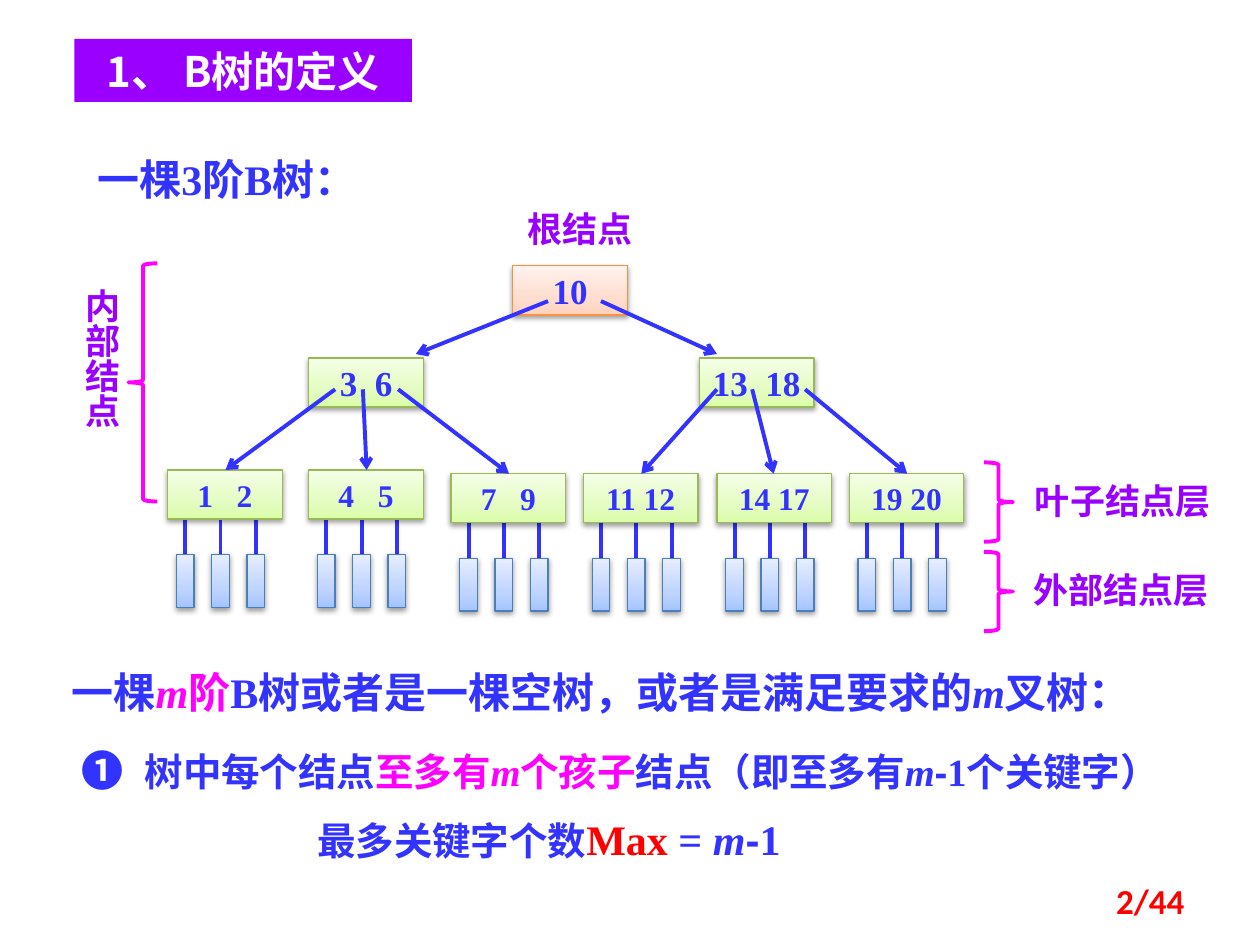
from copy import deepcopy
from dataclasses import dataclass

from pptx import Presentation
from pptx.dml.color import RGBColor
from pptx.enum.shapes import MSO_CONNECTOR, MSO_SHAPE
from pptx.enum.text import MSO_ANCHOR, MSO_AUTO_SIZE, PP_ALIGN
from pptx.oxml.ns import qn
from pptx.util import Inches, Pt
from lxml.etree import SubElement


@dataclass(frozen=True)
class Theme:
    """Colours, fonts and sizes of the slide."""
    ink: str = "3333FF"
    accent: str = "FF00FF"
    purple: str = "9900FF"
    red: str = "FF0000"
    white: str = "FFFFFF"
    serif: str = "Times New Roman"
    sans: str = "Noto Sans CJK SC"
    symbol: str = "Arial"
    number: str = "Calibri"
    heading: int = 24
    body: int = 22
    label: int = 20
    leaf: int = 18
    stroke: float = 2.25
    outline: float = 0.75
    orange_node: tuple = ("F69240", "FFD2BD", "FFDED0", "FFF2ED")
    green_node: tuple = ("98B955", "DAFDA7", "E4FCC2", "F5FFE7")
    blue_node: tuple = ("4B7EBC", "A4C4FF", "BFD4FF", "E6EEFF")
    stops: tuple = (0, 0.35, 1)


THEME = Theme()
INK = {"size": THEME.heading, "name": THEME.serif, "color": THEME.ink}
LABEL = {"size": THEME.label, "name": THEME.sans, "color": THEME.purple}
PINK = {"color": THEME.accent}
ITALIC = {"italic": True}
DASH = {"name": THEME.symbol}
SMALL = {"size": THEME.body}
CENTER = {"alignment": PP_ALIGN.CENTER}
GROW = {"word_wrap": True, "auto_size": MSO_AUTO_SIZE.SHAPE_TO_FIT_TEXT}
MIDDLE = {"word_wrap": True, "vertical_anchor": MSO_ANCHOR.MIDDLE}
TIGHT = {**MIDDLE, "margin_left": 0, "margin_right": 0}

NODE_WIDTH, NODE_HEIGHT = 0.91, 0.39
LEAVES = [
    (1.33, 3.73, "1", "2", 9),
    (2.45, 3.73, "4", "5", 9),
    (3.58, 3.76, "7", "9", 9),
    (4.63, 3.76, "11", "12", 0),
    (5.69, 3.76, "14", "17", 0),
    (6.74, 3.76, "19", "20", 0),
]
BRANCHES = [
    (4.35, 2.39, 3.3, 2.81), (4.77, 2.39, 5.69, 2.81),
    (2.66, 3.09, 1.79, 3.73), (2.88, 3.09, 2.91, 3.73), (3.16, 3.09, 4.04, 3.76),
    (5.69, 3.09, 5.09, 3.76), (5.97, 3.09, 6.14, 3.76), (6.39, 3.09, 7.2, 3.76),
]


def set_all(target, values):
    """Set each named attribute on the target."""
    for name, value in values.items():
        setattr(target, name, value)


def add_span(para, text, style, gap=0):
    """Append one bold run, with optional letter spacing in points."""
    span = para.add_run()
    span.text = text
    set_all(span.font, {
        "name": style["name"],
        "size": Pt(style["size"]),
        "bold": True,
        "italic": style.get("italic", False),
    })
    span.font.color.rgb = RGBColor.from_string(style["color"])
    properties = span._r.get_or_add_rPr()
    SubElement(properties, qn("a:ea")).set("typeface", THEME.sans)
    if gap:
        properties.set("spc", str(gap * 100))


def fill_text(shape, spans, base, frame, paragraph):
    """Write styled spans into the first paragraph of a shape."""
    set_all(shape.text_frame, frame)
    para = shape.text_frame.paragraphs[0]
    set_all(para, paragraph)
    for text, change, *gap in spans:
        add_span(para, text, {**base, **change}, *gap)
    return para


def add_text(slide, bounds, spans, base=INK, frame=GROW, paragraph=None):
    """Add a text box and return its shape and paragraph."""
    box = slide.shapes.add_textbox(*map(Inches, bounds))
    return box, fill_text(box, spans, base, frame, paragraph or {})


def add_plate(slide, bounds, text, base, fill):
    """Add a plain filled rectangle with a centred caption."""
    plate = slide.shapes.add_shape(MSO_SHAPE.RECTANGLE, *map(Inches, bounds))
    plate.shadow.inherit = False
    plate.fill.solid()
    plate.fill.fore_color.rgb = RGBColor.from_string(fill)
    plate.line.fill.background()
    fill_text(plate, [(text, {})], base, GROW, CENTER)


def add_node(slide, bounds, palette):
    """Add a shaded rectangle with a soft shadow."""
    node = slide.shapes.add_shape(MSO_SHAPE.RECTANGLE, *map(Inches, bounds))
    outline, *tints = palette
    node.line.color.rgb = RGBColor.from_string(outline)
    node.line.width = Pt(THEME.outline)
    node.fill.gradient()
    node.fill.gradient_angle = 90
    first = node._element.spPr.find(".//" + qn("a:gs"))
    first.addnext(deepcopy(first))
    for stop, position, tint in zip(node.fill.gradient_stops, THEME.stops, tints):
        stop.position = position
        stop.color.rgb = RGBColor.from_string(tint)
    node.shadow.inherit = False
    effects = node._element.spPr.find(qn("a:effectLst"))
    shadow = SubElement(effects, qn("a:outerShdw"), blurRad="40000", dist="20000",
                        dir="5400000", rotWithShape="0")
    color = SubElement(shadow, qn("a:srgbClr"), val="000000")
    SubElement(color, qn("a:alpha"), val="38000")
    return node


def add_key_node(slide, left, top, keys, gap, size, palette=THEME.green_node):
    """Add a tree node holding one or two keys."""
    node = add_node(slide, (left, top, NODE_WIDTH, NODE_HEIGHT), palette)
    spans = [(keys[0], {})]
    for key in keys[1:]:
        spans += [(" ", {}, gap), (key, {})]
    fill_text(node, spans, {**INK, "size": size}, TIGHT, CENTER)


def add_link(slide, points, arrow=False):
    """Add a straight link, with an arrowhead if asked."""
    link = slide.shapes.add_connector(MSO_CONNECTOR.STRAIGHT, *map(Inches, points))
    link.line.color.rgb = RGBColor.from_string(THEME.ink)
    link.line.width = Pt(THEME.stroke)
    if arrow:
        SubElement(link.line._get_or_add_ln(), qn("a:tailEnd"), type="arrow")
    SubElement(link._element.spPr, qn("a:effectLst"))


def add_brace(slide, kind, bounds):
    """Add an unfilled curly brace."""
    brace = slide.shapes.add_shape(kind, *map(Inches, bounds))
    brace.shadow.inherit = False
    brace.fill.background()
    brace.line.color.rgb = RGBColor.from_string(THEME.accent)
    brace.line.width = Pt(THEME.stroke)


def add_external_nodes(slide, left, top):
    """Hang three external nodes below a leaf."""
    for index in range(3):
        stem = left + 0.14 + 0.28 * index
        add_link(slide, (stem, top + 0.32, stem, top + 0.67))
        add_node(slide, (stem - 0.07, top + 0.67, 0.14, 0.42), THEME.blue_node)


def add_tree(slide):
    """Draw the B-tree with its level labels."""
    add_plate(slide, (3.98, 1.59, 1.25, 0.44), "根结点", LABEL, THEME.white)
    for left, top, *_ in LEAVES:
        add_external_nodes(slide, left, top)
    add_key_node(slide, 4.07, 2.11, ["10"], 0, THEME.label, THEME.orange_node)
    for left, top, low, high, gap in LEAVES:
        add_key_node(slide, left, top, [low, high], gap, THEME.leaf)
    for left, low, high in [(2.45, "3", "6"), (5.55, "13", "18")]:
        add_key_node(slide, left, 2.84, [low, high], 5, THEME.label)
    for points in BRANCHES:
        add_link(slide, points, arrow=True)
    add_plate(slide, (8.05, 3.75, 1.72, 0.44), "叶子结点层", LABEL, THEME.white)
    add_plate(slide, (7.96, 4.46, 1.88, 0.44), "外部结点层", LABEL, THEME.white)
    for top in (3.67, 4.38):
        add_brace(slide, MSO_SHAPE.RIGHT_BRACE, (7.81, top, 0.23, 0.63))
    add_brace(slide, MSO_SHAPE.LEFT_BRACE, (1.02, 2.09, 0.23, 1.89))
    box, _ = add_text(slide, (0.48, 2.19, 0.54, 1.64), [("内部结点", {})],
                      LABEL, GROW, CENTER)
    box.text_frame._txBody.bodyPr.set("vert", "eaVert")


def add_definition(slide):
    """Write the definition and its first condition."""
    add_text(slide, (0.47, 5.16, 9.26, 0.59), [
        ("一棵", {}), ("m", {**PINK, **ITALIC}), ("阶", PINK),
        ("B树或者是一棵空树，或者是满足要求的", {}), ("m", ITALIC), ("叉树：", {}),
    ], paragraph={"line_spacing": 1.2})
    _, para = add_text(slide, (0.55, 5.86, 8.91, 0.5), [
        ("❶", {"size": THEME.heading}), ("\t树中每个结点", {}), ("至多有", PINK),
        ("m", {**PINK, **ITALIC}), ("个孩子", PINK), ("结点（即至多有", {}),
        ("m", ITALIC), ("-", DASH), ("1个关键字）", {}),
    ], {**INK, **SMALL})
    indent = Inches(0.5)
    para._p.get_or_add_pPr().set("marL", str(indent))
    para._p.get_or_add_pPr().set("indent", str(-indent))
    add_text(slide, (2.42, 6.41, 4.06, 0.5), [
        ("最多关键字个数", SMALL), ("Max ", {"color": THEME.red}), ("= ", {}),
        ("m", ITALIC), ("-", DASH), ("1", {}),
    ])


def main():
    """Build the slide and save the deck."""
    deck = Presentation()
    set_all(deck, {"slide_width": Inches(10), "slide_height": Inches(7.5)})
    page = deck.slides.add_slide(deck.slide_layouts[6])
    add_plate(page, (0.59, 0.31, 2.68, 0.5), "1、 B树的定义",
              {**LABEL, "size": THEME.heading, "color": THEME.white}, THEME.purple)
    add_text(page, (0.47, 1.17, 2.66, 0.5), [("一棵3阶B树：", {})], paragraph=CENTER)
    add_tree(page)
    add_definition(page)
    add_text(page, (7.17, 6.95, 2.33, 0.4), [("2/44", {})],
             {"size": THEME.label, "name": THEME.number, "color": THEME.red},
             MIDDLE, {"alignment": PP_ALIGN.RIGHT})
    deck.save("out.pptx")


if __name__ == "__main__":
    main()
